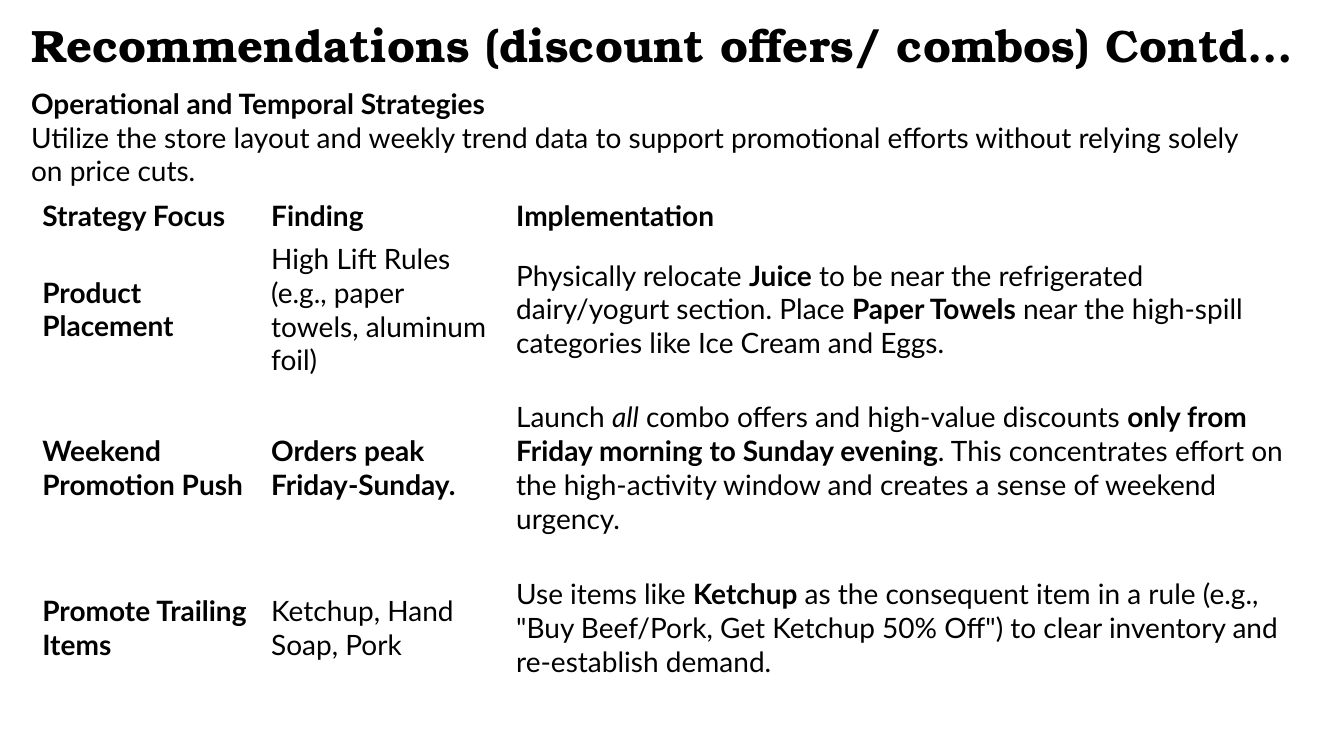
from lxml.etree import SubElement
from pptx import Presentation
from pptx.dml.color import RGBColor
from pptx.enum.text import MSO_ANCHOR
from pptx.oxml.ns import qn
from pptx.util import Inches, Pt

TITLE = "Recommendations (discount offers/ combos) Contd…"
PLAIN, BOLD, ITALIC = "plain", "bold", "italic"

# Each paragraph is a list of (text, style) spans.
INTRO = [
    [("Operational and Temporal Strategies", BOLD)],
    [("Utilize the store layout and weekly trend data to support promotional "
      "efforts without relying solely on price cuts.", PLAIN)],
]
STRATEGIES = [
    [[("Strategy Focus", BOLD)], [("Finding", BOLD)], [("Implementation", BOLD)]],
    [
        [("Product Placement", BOLD)],
        [("High Lift Rules (e.g., paper towels, aluminum foil)", PLAIN)],
        [("Physically relocate ", PLAIN), ("Juice", BOLD),
         (" to be near the refrigerated dairy/yogurt section. Place ", PLAIN),
         ("Paper Towels", BOLD),
         (" near the high-spill categories like Ice Cream and Eggs.", PLAIN)],
    ],
    [
        [("Weekend Promotion Push", BOLD)],
        [("Orders peak Friday-Sunday.", BOLD)],
        [("Launch ", PLAIN), ("all", ITALIC),
         (" combo offers and high-value discounts ", PLAIN),
         ("only from Friday morning to Sunday evening", BOLD),
         (". This concentrates effort on the high-activity window and creates "
          "a sense of weekend urgency.", PLAIN)],
    ],
    [
        [("Promote Trailing Items", BOLD)],
        [("Ketchup, Hand Soap, Pork", PLAIN)],
        [("Use items like ", PLAIN), ("Ketchup", BOLD),
         (' as the consequent item in a rule (e.g., "Buy Beef/Pork, Get Ketchup '
          '50% Off") to clear inventory and re-establish demand.', PLAIN)],
    ],
]
COLUMN_WIDTHS = [2.27, 2.43, 7.97]
ROW_HEIGHTS = [0.44, 1.3, 1.73, 1.45]

THEME = {
    "title_font": "TeX Gyre Bonum", "title_size": Pt(32.4),
    "body_font": "Lato", "body_size": Pt(20),
    "text": RGBColor(0, 0, 0), "border": "FFFFFF", "border_width": Pt(0.38),
}


def write(para, spans, role="body"):
    para.font.name = THEME[f"{role}_font"]
    para.font.size = THEME[f"{role}_size"]
    para.font.color.rgb = THEME["text"]
    styles = {style for _, style in spans}
    if styles == {BOLD}:
        para.font.bold = True
    for text, style in spans:
        span = para.add_run()
        span.text = text
        if len(styles) > 1:
            span.font.bold = style == BOLD
            span.font.italic = style == ITALIC


def add_text(page, left, top, width, height, paragraphs, role="body"):
    box = page.shapes.add_textbox(*map(Inches, (left, top, width, height)))
    frame = box.text_frame
    frame.word_wrap = True
    for index, spans in enumerate(paragraphs):
        para = frame.add_paragraph() if index else frame.paragraphs[0]
        write(para, spans, role)
    return frame


def add_borders(cell):
    properties = cell._tc.get_or_add_tcPr()
    for side in ("lnL", "lnR", "lnT", "lnB"):
        line = SubElement(properties, qn(f"a:{side}"), w=str(THEME["border_width"]))
        fill = SubElement(line, qn("a:solidFill"))
        SubElement(fill, qn("a:srgbClr"), val=THEME["border"])


def add_strategy_table(page, left, top):
    frame = page.shapes.add_table(
        len(ROW_HEIGHTS), len(COLUMN_WIDTHS), Inches(left), Inches(top),
        Inches(sum(COLUMN_WIDTHS)), Inches(sum(ROW_HEIGHTS)))
    table = frame.table
    table.first_row = table.horz_banding = False
    for column, width in zip(table.columns, COLUMN_WIDTHS):
        column.width = Inches(width)
    for row, height, contents in zip(table.rows, ROW_HEIGHTS, STRATEGIES):
        row.height = Inches(height)
        for cell, spans in zip(row.cells, contents):
            cell.margin_left = cell.margin_right = Inches(0.09)
            cell.margin_top = cell.margin_bottom = Inches(0.04)
            cell.vertical_anchor = MSO_ANCHOR.MIDDLE
            add_borders(cell)
            cell.fill.background()
            write(cell.text_frame.paragraphs[0], spans)


def main():
    deck = Presentation()
    deck.slide_width, deck.slide_height = Inches(13.33), Inches(7.5)
    page = deck.slides.add_slide(deck.slide_layouts[6])
    title = add_text(page, 0.21, 0.14, 12.98, 0.67, [[(TITLE, BOLD)]], "title")
    title.vertical_anchor = MSO_ANCHOR.MIDDLE
    title.paragraphs[0].line_spacing = 0.9
    add_text(page, 0.21, 0.81, 12.44, 1.11, INTRO)
    add_strategy_table(page, 0.33, 1.92)
    deck.save("out.pptx")


if __name__ == "__main__":
    main()
